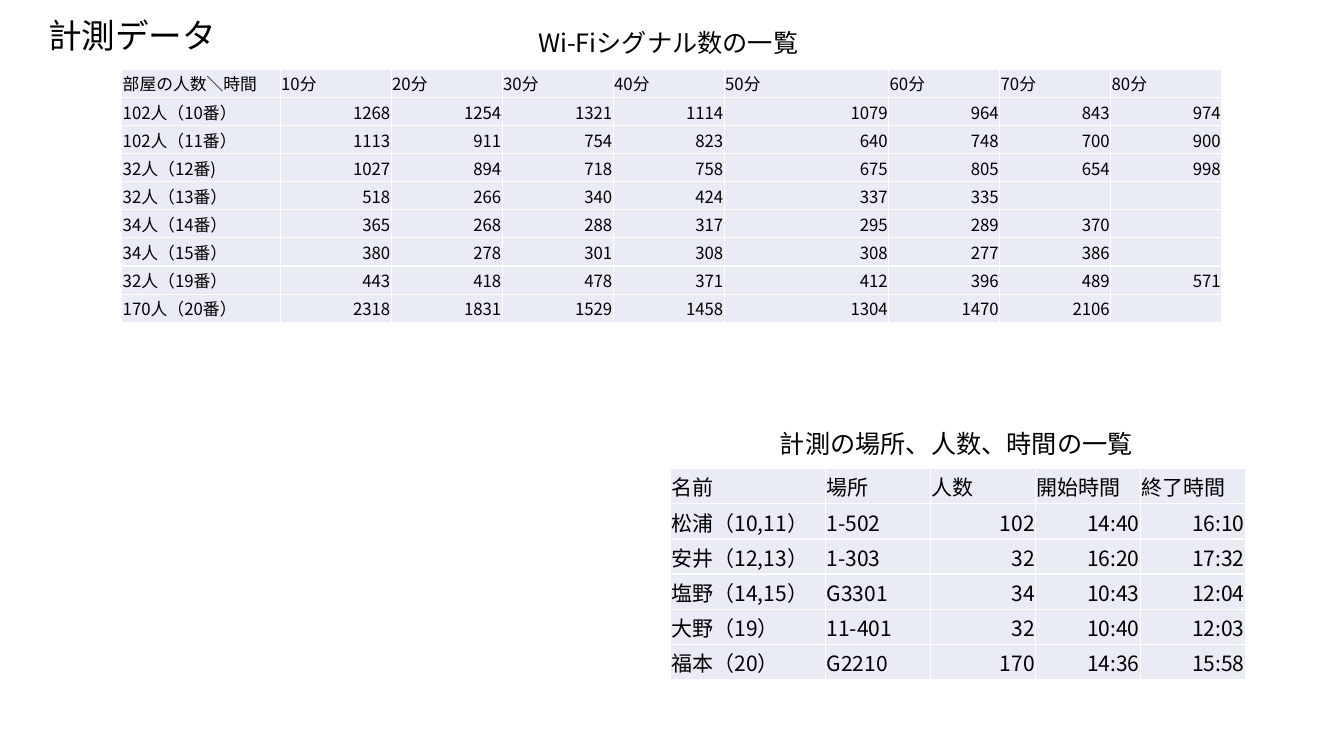
import pptx
import pptx.dml.color
import pptx.enum.text
import pptx.oxml
import pptx.oxml.ns
import pptx.util

Pt = pptx.util.Pt
ALIGN = pptx.enum.text.PP_ALIGN
ANCHOR = pptx.enum.text.MSO_ANCHOR
FONT = "Noto Sans CJK JP"
BLACK, WHITE, PALE = "000000", "FFFFFF", "E9EBF5"

SIGNALS = [
    ["部屋の人数＼時間"] + [f"{m}分" for m in range(10, 90, 10)],
    ["102人（10番）", 1268, 1254, 1321, 1114, 1079, 964, 843, 974],
    ["102人（11番）", 1113, 911, 754, 823, 640, 748, 700, 900],
    ["32人（12番)", 1027, 894, 718, 758, 675, 805, 654, 998],
    ["32人（13番）", 518, 266, 340, 424, 337, 335, "", ""],
    ["34人（14番）", 365, 268, 288, 317, 295, 289, 370, ""],
    ["34人（15番）", 380, 278, 301, 308, 308, 277, 386, ""],
    ["32人（19番）", 443, 418, 478, 371, 412, 396, 489, 571],
    ["170人（20番）", 2318, 1831, 1529, 1458, 1304, 1470, 2106, ""],
]
SESSIONS = [
    ["名前", "場所", "人数", "開始時間", "終了時間"],
    ["松浦（10,11）", "1-502", 102, "14:40", "16:10"],
    ["安井（12,13）", "1-303", 32, "16:20", "17:32"],
    ["塩野（14,15）", "G3301", 34, "10:43", "12:04"],
    ["大野（19）", "11-401", 32, "10:40", "12:03"],
    ["福本（20）", "G2210", 170, "14:36", "15:58"],
]


def color(hex_code):
    """Turn a hex string into a colour."""
    return pptx.dml.color.RGBColor.from_string(hex_code)


def add_run(p, text, size):
    """Add one black run, with the font for Latin and Japanese."""
    r = p.add_run()
    r.text = text
    r.font.size = Pt(size)
    r.font.name = FONT
    r.font.color.rgb = color(BLACK)
    ea = pptx.oxml.parse_xml(
        f'<a:ea {pptx.oxml.ns.nsdecls("a")} typeface="{FONT}"/>')
    r.font._element.find(pptx.oxml.ns.qn("a:latin")).addnext(ea)


def add_title(s, text, left, top, width, height):
    """Place and fill the title placeholder."""
    sp = s.shapes.title
    sp.left, sp.top, sp.width, sp.height = map(Pt, (left, top, width, height))
    tf = sp.text_frame
    tf.word_wrap = True
    tf.vertical_anchor = ANCHOR.BOTTOM
    p = tf.paragraphs[0]
    p.alignment = ALIGN.CENTER
    p.line_spacing = 0.9
    add_run(p, text, 24)


def add_caption(s, text, left, top, width):
    """Add a one-line table caption."""
    sp = s.shapes.add_textbox(Pt(left), Pt(top), Pt(width), Pt(29))
    tf = sp.text_frame
    tf.word_wrap = False
    tf.auto_size = pptx.enum.text.MSO_AUTO_SIZE.SHAPE_TO_FIT_TEXT
    add_run(tf.paragraphs[0], text, 18)


def set_borders(cell):
    """Give a cell thin white borders on all sides."""
    tcPr = cell._tc.get_or_add_tcPr()
    for side in ("lnL", "lnR", "lnT", "lnB"):
        tcPr.append(pptx.oxml.parse_xml(
            f'<a:{side} {pptx.oxml.ns.nsdecls("a")} w="{Pt(1)}"><a:solidFill>'
            f'<a:srgbClr val="{WHITE}"/></a:solidFill></a:{side}>'))


def fill_cell(cell, value, size, align):
    """Write and style one table cell."""
    set_borders(cell)
    cell.fill.solid()
    cell.fill.fore_color.rgb = color(PALE)
    cell.vertical_anchor = ANCHOR.MIDDLE
    cell.margin_left = cell.margin_right = cell.margin_top = Pt(0.7)
    cell.margin_bottom = 0
    p = cell.text_frame.paragraphs[0]
    p.alignment = align
    if value == "":
        p._p.append(pptx.oxml.parse_xml(
            f'<a:endParaRPr {pptx.oxml.ns.nsdecls("a")} sz="{size * 100}"/>'))
    else:
        add_run(p, str(value), size)


def add_data_table(s, rows, left, top, widths, row_height, size, text_cols):
    """Add a table; below the header, all but the text columns align right."""
    frame = s.shapes.add_table(len(rows), len(widths), Pt(left), Pt(top),
                               Pt(sum(widths)), Pt(row_height * len(rows)))
    table = frame.table
    for column, width in zip(table.columns, widths):
        column.width = Pt(width)
    for i, row in enumerate(rows):
        table.rows[i].height = Pt(row_height)
        for j, value in enumerate(row):
            is_text = i == 0 or j < text_cols
            fill_cell(table.cell(i, j), value, size,
                      ALIGN.LEFT if is_text else ALIGN.RIGHT)


def main():
    """Build the measurement data slide."""
    prs = pptx.Presentation()
    prs.slide_width, prs.slide_height = Pt(960), Pt(540)
    s = prs.slides.add_slide(prs.slide_layouts.get_by_name("Title Only"))
    add_title(s, "計測データ", 8.6, 16.6, 171.4, 26.6)
    signal_widths = [113.2] + [79.3] * 4 + [117.5] + [79.3] * 3
    add_data_table(s, SIGNALS, 87, 49.3, signal_widths, 20.1, 12, 1)
    add_data_table(s, SESSIONS, 479, 334.8, [110.8] + [75] * 4, 25.1, 15, 2)
    add_caption(s, "Wi-Fiシグナル数の一覧", 377.3, 15.8, 205.2)
    add_caption(s, "計測の場所、人数、時間の一覧", 550, 302.4, 269.3)
    prs.save("out.pptx")


main()
